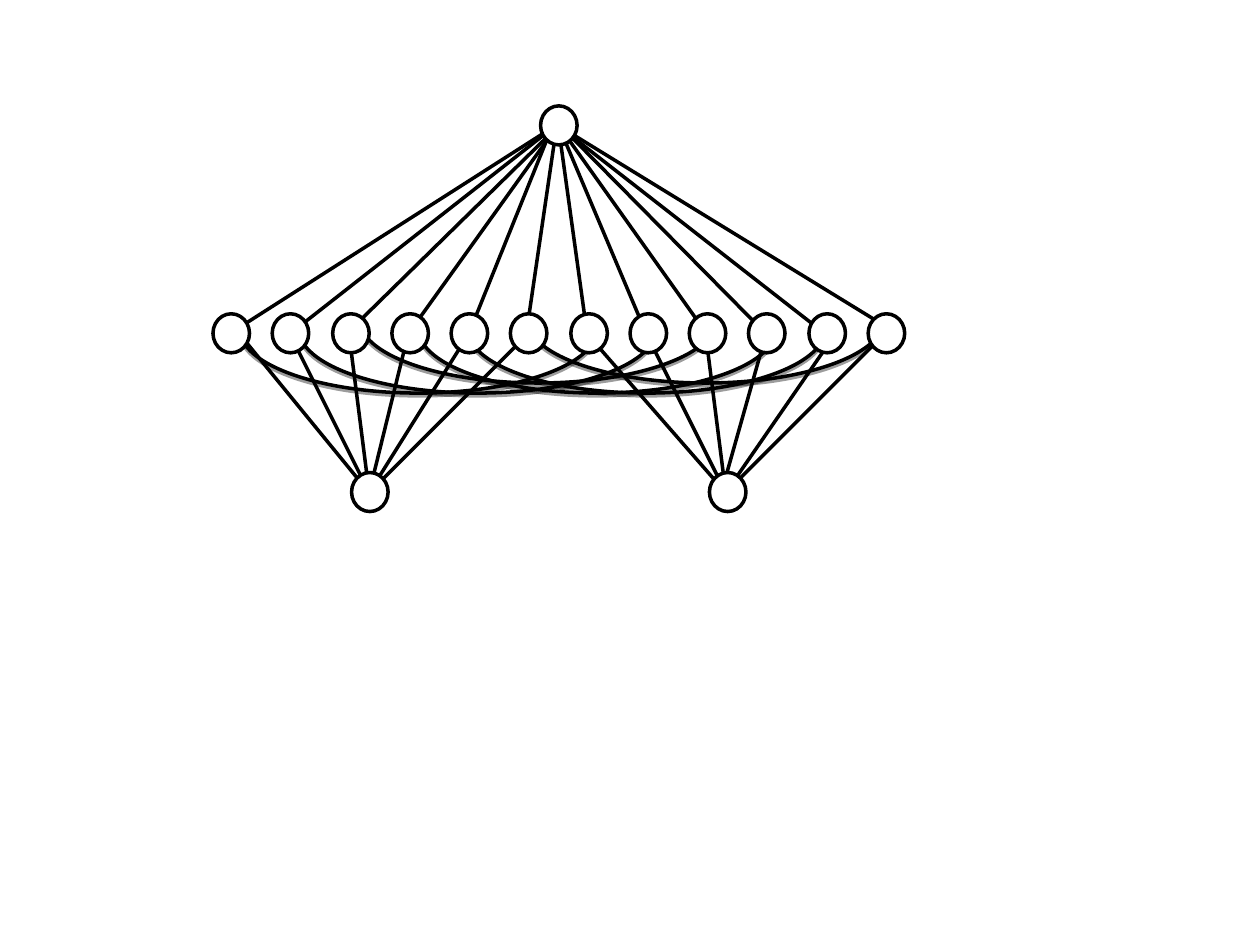
from typing import NamedTuple

import lxml.etree
import pptx
import pptx.dml.color
import pptx.enum.shapes
import pptx.oxml.ns
import pptx.util

PX = 9144  # EMU, 100 px to the inch
COLORS = {"line": "000000", "node": "FFFFFF", "shadow": "000000"}
LINE_WIDTH = pptx.util.Pt(2)
NODE_W, NODE_H = 31, 29
ARC_W, ARC_H = 102, 284
ARC_START, ARC_END = 273, 89  # degrees, before the quarter turn


class Point(NamedTuple):
    x: int
    y: int


class Edge(NamedTuple):
    start: Point
    end: Point


ROOT_CENTER = Point(443, 99)
ROOT = Point(428, 85)
LEAVES = [Point(round(168 + i * 520 / 11), 250) for i in range(12)]
LEAF_MID_Y = 265

ROOT_EDGES = [
    Edge(Point(442, 99), Point(693, 253)),
    Edge(Point(442, 99), Point(655, LEAF_MID_Y)),
    Edge(Point(433, 88), Point(608, LEAF_MID_Y)),
    Edge(ROOT_CENTER, Point(561, LEAF_MID_Y)),
    Edge(ROOT_CENTER, Point(513, LEAF_MID_Y)),
    Edge(ROOT_CENTER, Point(466, LEAF_MID_Y)),
    Edge(Point(442, 99), Point(420, 249)),
    Edge(Point(434, 111), Point(372, LEAF_MID_Y)),
    Edge(ROOT_CENTER, Point(324, LEAF_MID_Y)),
    Edge(Point(436, 107), Point(279, 261)),
    Edge(Point(442, 99), Point(230, LEAF_MID_Y)),
    Edge(Point(442, 99), Point(182, LEAF_MID_Y)),
]


def fan(xs: list[int], hub: Point) -> list[Edge]:
    """Edges from the leaf row down to one hub."""
    return [Edge(Point(x, LEAF_MID_Y), hub) for x in xs]


RIGHT_HUB, LEFT_HUB = Point(562, 376), Point(278, 376)
RIGHT_EDGES = fan([702, 560, 513, 466, 663], Point(576, 391))
RIGHT_EDGES += fan([608], Point(577, 375))
LEFT_EDGES = fan([419, 372, 324, 277, 230, 190], Point(293, 391))
ARCS = [Point(509, 111), Point(462, 119), Point(423, 119),
        Point(376, 111), Point(328, 119), Point(281, 119)]


def rgb(name: str) -> pptx.dml.color.RGBColor:
    return pptx.dml.color.RGBColor.from_string(COLORS[name])


def style_line(s) -> None:
    s.line.color.rgb = rgb("line")
    s.line.width = LINE_WIDTH


def add_effects(s):
    """Append an effect list that overrides the theme's effects."""
    sp_pr = s._element.spPr
    return lxml.etree.SubElement(sp_pr, pptx.oxml.ns.qn("a:effectLst"))


def draw_edges(shapes, edges: list[Edge]) -> None:
    for start, end in edges:
        s = shapes.add_connector(
            pptx.enum.shapes.MSO_CONNECTOR.STRAIGHT,
            *(v * PX for v in (*start, *end)))
        style_line(s)
        add_effects(s)


def draw_node(shapes, at: Point) -> None:
    s = shapes.add_shape(pptx.enum.shapes.MSO_SHAPE.OVAL,
                         at.x * PX, at.y * PX, NODE_W * PX, NODE_H * PX)
    s.rotation = 90
    s.shadow.inherit = False
    s.fill.solid()
    s.fill.fore_color.rgb = rgb("node")
    style_line(s)


def draw_arc(shapes, at: Point) -> None:
    s = shapes.add_shape(pptx.enum.shapes.MSO_SHAPE.ARC,
                         at.x * PX, at.y * PX, ARC_W * PX, ARC_H * PX)
    s.rotation = 90
    for i, degrees in enumerate((ARC_START, ARC_END)):
        s.adjustments[i] = degrees * 0.6
    s.fill.background()
    style_line(s)
    qn = pptx.oxml.ns.qn
    shadow = lxml.etree.SubElement(
        add_effects(s), qn("a:outerShdw"), blurRad="0", dist="20000",
        dir="5400000", rotWithShape="0")
    color = lxml.etree.SubElement(shadow, qn("a:srgbClr"), val=COLORS["shadow"])
    lxml.etree.SubElement(color, qn("a:alpha"), val="38000")


def main() -> None:
    prs = pptx.Presentation()
    prs.slide_width, prs.slide_height = 1000 * PX, 750 * PX
    slide = prs.slides.add_slide(prs.slide_layouts[6])
    shapes = slide.shapes.add_group_shape().shapes
    for edges, hub in ((ROOT_EDGES, ROOT), (RIGHT_EDGES, RIGHT_HUB),
                       (LEFT_EDGES, LEFT_HUB)):
        draw_edges(shapes, edges)
        draw_node(shapes, hub)
    for at in ARCS:
        draw_arc(shapes, at)
    for at in reversed(LEAVES):
        draw_node(shapes, at)
    prs.save("out.pptx")


if __name__ == "__main__":
    main()
